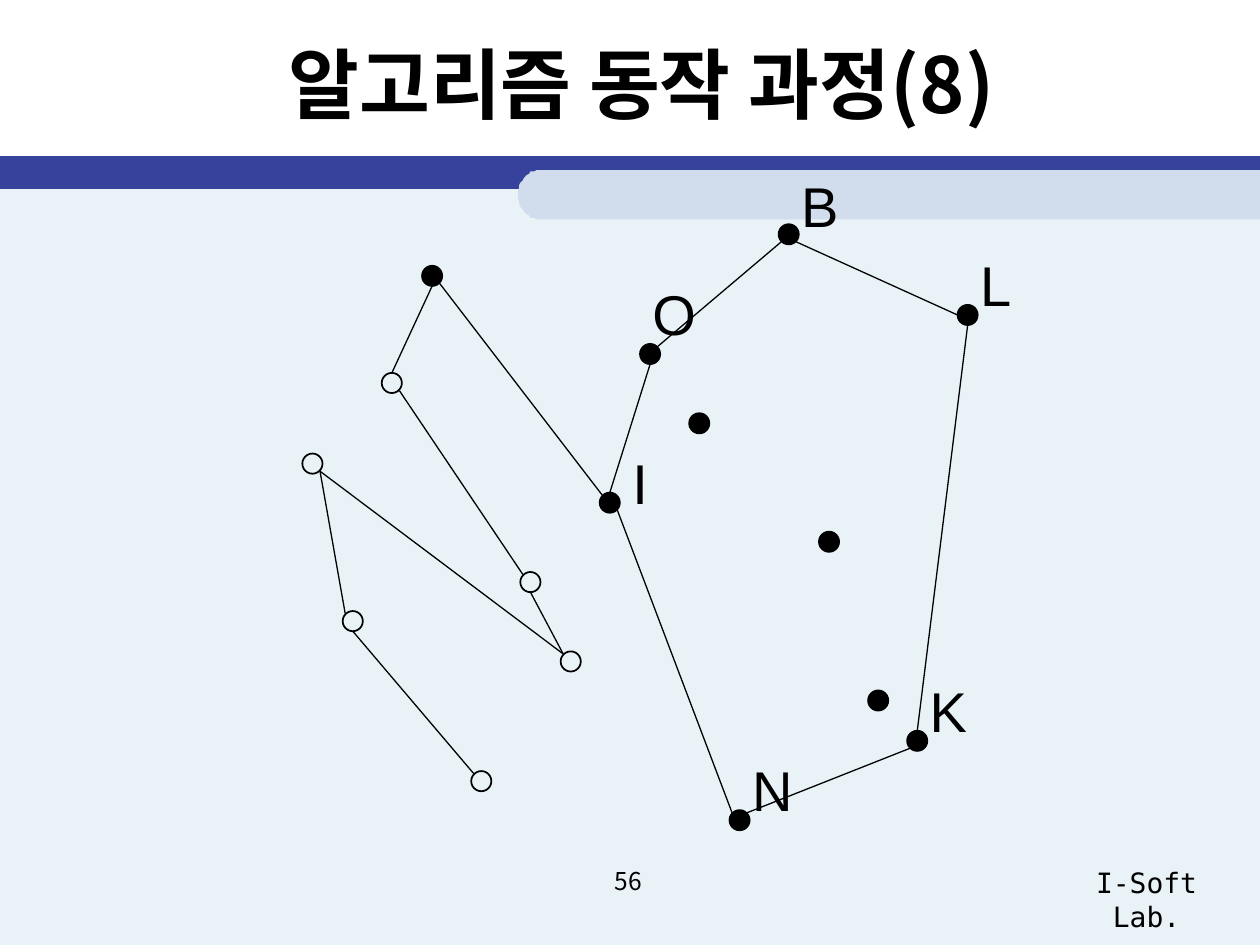
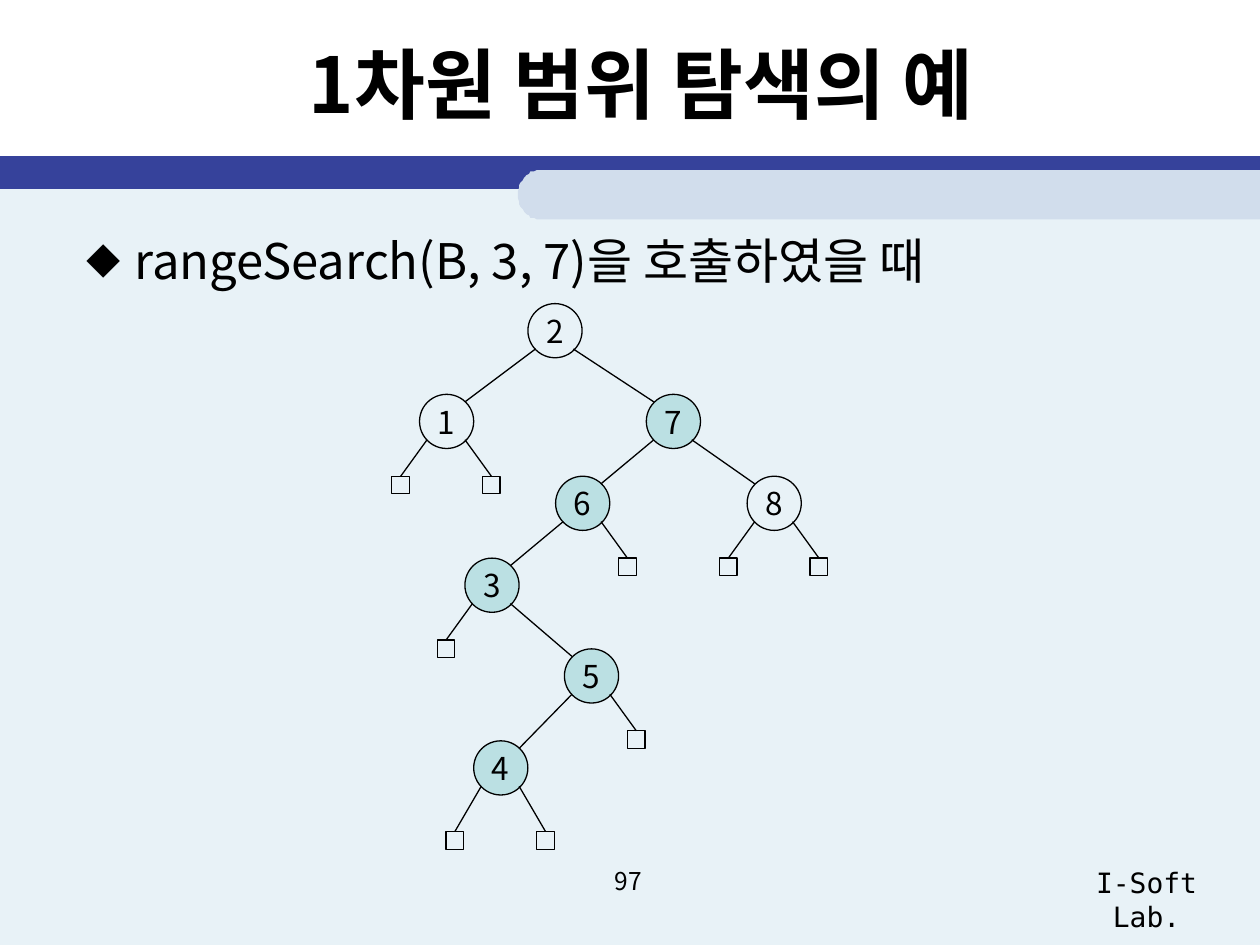
from math import cos, pi, sin

from pptx import Presentation
from pptx.dml.color import RGBColor
from pptx.enum.shapes import MSO_CONNECTOR, MSO_SHAPE as SHAPE
from pptx.enum.text import MSO_ANCHOR as ANCHOR, PP_ALIGN as ALIGN
from pptx.oxml.ns import qn
from pptx.util import Pt

PX = 9144  # 100 px to the inch
COLORS = {
    "ink": "000000",
    "page": "E8F2F7",
    "band": "36429B",
    "tab": "D1DDEC",
    "visited": "BBE0E3",
}
KOREAN, MONO, LETTER = "Noto Sans CJK KR", "DejaVu Sans Mono", "Arial"


def style(shape, fill=None, outline=None):
    """Give the shape a fill colour and an outline width, or none of either."""
    shape.shadow.inherit = False
    if fill:
        shape.fill.solid()
        shape.fill.fore_color.rgb = RGBColor.from_string(COLORS[fill])
    else:
        shape.fill.background()
    if outline:
        shape.line.color.rgb = RGBColor.from_string(COLORS["ink"])
        shape.line.width = Pt(outline)
    else:
        shape.line.fill.background()
    return shape


def write(shape, text, size, font=KOREAN, align=ALIGN.CENTER,
          anchor=ANCHOR.TOP, wrap=True, bold=False):
    """Put one run into the shape and return its paragraph."""
    frame = shape.text_frame
    frame.word_wrap = wrap
    frame.vertical_anchor = anchor
    paragraph = frame.paragraphs[0]
    paragraph.alignment = align
    run = paragraph.add_run()
    run.text = text
    run.font.size = Pt(size)
    run.font.bold = bold
    run.font.color.rgb = RGBColor.from_string(COLORS["ink"])
    run.font.name = font
    east_asian = run.font._element.makeelement(qn("a:ea"), {"typeface": font})
    run.font._element.append(east_asian)
    return paragraph


presentation = Presentation()
presentation.slide_width = 1000 * PX
presentation.slide_height = 750 * PX
blank = presentation.slide_layouts[6]

# Shared frame: bands, footer, page number and title
slides = []
for title, number in (("알고리즘 동작 과정(8)", "56"), ("1차원 범위 탐색의 예", "97")):
    slide = presentation.slides.add_slide(blank)
    slides.append(slide)
    for top, height, color in ((140, 610, "page"), (124, 26, "band")):
        style(slide.shapes.add_shape(SHAPE.RECTANGLE, 0, top * PX, 1000 * PX, height * PX), color)

    outline = slide.shapes.build_freeform(1000, 135, scale=PX)
    round_end = [(428 - 17 * sin(pi * step / 24), 154.5 - 19.5 * cos(pi * step / 24))
                 for step in range(25)]
    outline.add_line_segments(round_end + [(1000, 174)], close=True)
    style(outline.convert_to_shape(), "tab")

    for text, box, size, options in (
        ("I-Soft Lab.", (831, 682, 158, 37), 16, {"font": MONO}),
        (number, (382, 682, 233, 52), 14, {}),
        (title, (59, 8, 900, 115), 44, {"anchor": ANCHOR.MIDDLE, "bold": True}),
    ):
        write(slide.shapes.add_textbox(*(value * PX for value in box)), text, size, **options)

hull_slide, tree_slide = slides
segments = []  # (slide, start, end)

# Slide 1: point set with the path walked so far
DOT = 16
dots = {  # name: centre x, centre y, filled
    "A": (343, 219, True), "B": (626, 186, True), "C": (311, 304, False),
    "D": (421, 462, False), "E": (453, 525, False), "F": (248, 368, False),
    "G": (280, 493, False), "H": (382, 620, False), "I": (484, 399, True),
    "K": (728, 588, True), "L": (768, 250, True), "N": (587, 651, True),
    "O": (516, 281, True), "P": (555, 336, True), "Q": (658, 430, True),
    "R": (697, 556, True),
}
for x, y, filled in dots.values():
    dot = hull_slide.shapes.add_shape(
        SHAPE.OVAL, (x - DOT // 2) * PX, (y - DOT // 2) * PX, DOT * PX, DOT * PX)
    style(dot, "ink" if filled else None, 1)

ports = {  # side of a dot where a line is attached
    "n": (0, -8), "s": (0, 8), "w": (-8, 0),
    "ne": (6, -6), "nw": (-6, -6), "se": (6, 6), "sw": (-6, 6),
}
edges = ("N ne K sw", "K n L s", "B se L w", "O ne B sw", "O s I n", "A se I nw",
         "A s C n", "C se D nw", "D s E nw", "F se E nw", "F se G nw",
         "G s H nw", "I se N nw")
for edge in edges:
    start, start_port, end, end_port = edge.split()
    segments.append((hull_slide, *(
        (dots[name][0] + ports[port][0], dots[name][1] + ports[port][1])
        for name, port in ((start, start_port), (end, end_port)))))

for letter, left, top, width in (
    ("K", 728, 532, 49), ("N", 587, 595, 52), ("L", 768, 194, 45),
    ("B", 626, 131, 49), ("O", 508, 217, 54), ("I", 492, 351, 32),
):
    label = hull_slide.shapes.add_textbox(left * PX, top * PX, width * PX, 64 * PX)
    write(label, letter, 32, LETTER, ALIGN.LEFT, wrap=False)

# Slide 2: bullet line and search tree
body = tree_slide.shapes.add_textbox(59 * PX, 178 * PX, 900 * PX, 79 * PX)
paragraph = write(body, "rangeSearch(B, 3, 7)을 호출하였을 때", 28, align=ALIGN.LEFT)
properties = paragraph._p.get_or_add_pPr()
properties.set("marL", str(38 * PX))
properties.set("indent", str(-38 * PX))
for tag, attribute, value in (("a:buSzPct", "val", "70000"),
                              ("a:buFont", "typeface", KOREAN),
                              ("a:buChar", "char", "◆")):
    properties.append(properties.makeelement(qn(tag), {attribute: value}))

NODE, LEAF = 43, 14
PORT = 15  # diagonal offset from a node's centre to its rim
LEAF_SHIFT = 36
tree = {  # key: centre x, centre y, left child, right child, drop to a leaf
    "2": (440, 262, "1", "7", 44),
    "1": (354, 334, None, None, 44),
    "7": (534, 334, "6", "8", 44),
    "6": (462, 399, "3", None, 44),
    "8": (614, 399, None, None, 44),
    "3": (390, 464, None, "5", 44),
    "5": (469, 536, "4", None, 44),
    "4": (397, 609, None, None, 51),
}
for key, (x, y, left_child, right_child, drop) in tree.items():
    node = tree_slide.shapes.add_shape(
        SHAPE.OVAL, (x - NODE // 2) * PX, (y - NODE // 2) * PX, NODE * PX, NODE * PX)
    style(node, "visited" if 3 <= int(key) <= 7 else None, 0.75)
    write(node, key, 18, anchor=ANCHOR.MIDDLE, wrap=False)
    for side, child in ((-1, left_child), (1, right_child)):
        if child:
            end = (tree[child][0] - side * PORT, tree[child][1] - PORT)
        else:
            end = (x + side * LEAF_SHIFT, y + drop)
            leaf = tree_slide.shapes.add_shape(
                SHAPE.RECTANGLE, (end[0] - LEAF // 2) * PX, end[1] * PX, LEAF * PX, LEAF * PX)
            style(leaf, None, 0.75)
        segments.append((tree_slide, (x + side * PORT, y + PORT), end))

# Lines of both drawings
for slide, start, end in segments:
    line = slide.shapes.add_connector(
        MSO_CONNECTOR.STRAIGHT, *(value * PX for value in start + end))
    line.line.color.rgb = RGBColor.from_string(COLORS["ink"])
    line.line.width = Pt(0.75)
    drawing = line._element.spPr
    drawing.append(drawing.makeelement(qn("a:effectLst"), {}))

presentation.save("out.pptx")
